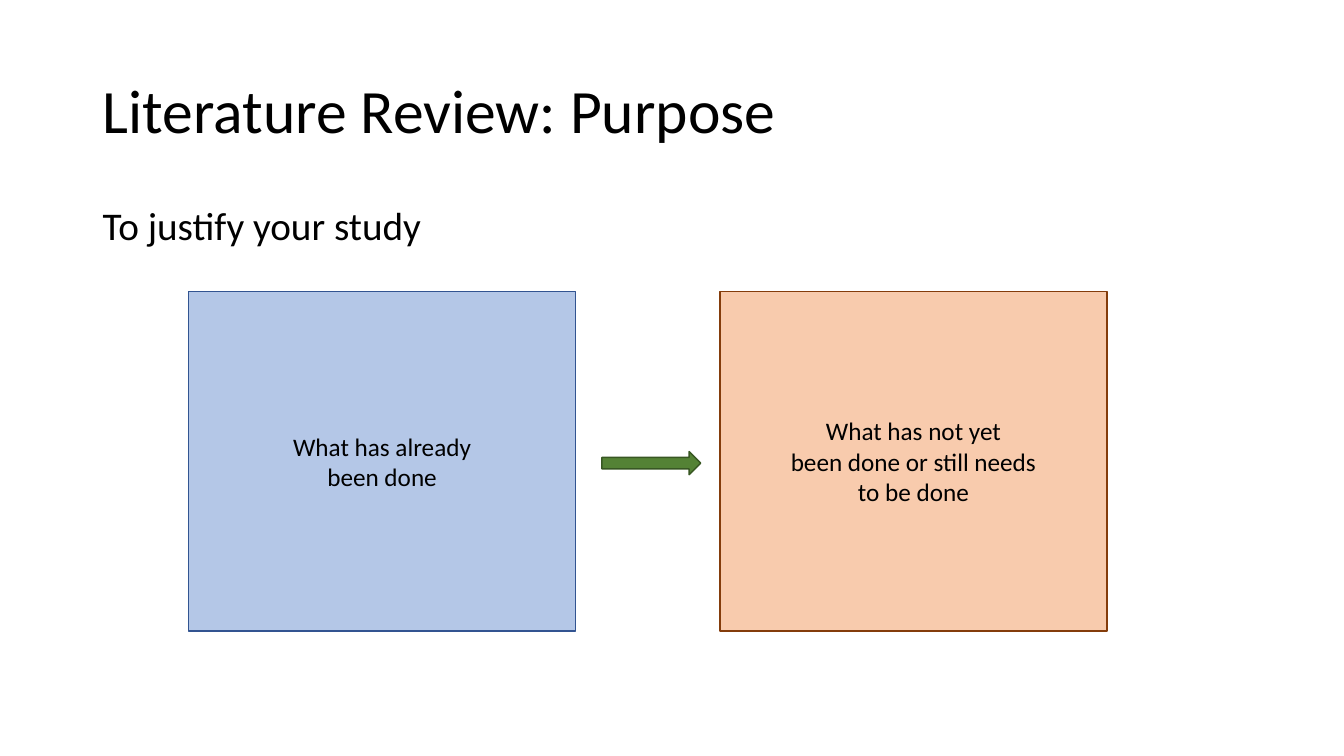
from pptx import Presentation
from pptx import util as u
from pptx.dml.color import RGBColor
from pptx.enum import shapes, text


def color(value):
    return RGBColor.from_string(value)


def write_lines(frame, lines, size, alignment, spacing=1.0):
    frame.word_wrap = True
    for index, line in enumerate(lines):
        paragraph = frame.paragraphs[0] if index == 0 else frame.add_paragraph()
        paragraph.alignment = alignment
        paragraph.line_spacing = spacing
        run = paragraph.add_run()
        run.text = line
        run.font.name = "Calibri"
        run.font.size = u.Pt(size)
        run.font.color.rgb = color("000000")


def add_text(slide, top, height, line, size, anchor):
    box = slide.shapes.add_textbox(
        u.Inches(0.92), u.Inches(top), u.Inches(11.5), u.Inches(height))
    box.text_frame.vertical_anchor = anchor
    write_lines(box.text_frame, [line], size, text.PP_ALIGN.LEFT, 0.9)


def add_filled_shape(slide, kind, left, top, width, height, fill, outline):
    shape = slide.shapes.add_shape(
        kind, u.Inches(left), u.Inches(top), u.Inches(width), u.Inches(height))
    shape.shadow.inherit = False
    shape.fill.solid()
    shape.fill.fore_color.rgb = color(fill)
    shape.line.color.rgb = color(outline)
    shape.line.width = u.Pt(1)
    return shape


def add_panel(slide, left, lines, fill, outline):
    panel = add_filled_shape(
        slide, shapes.MSO_SHAPE.RECTANGLE, left, 2.89, 3.84, 3.37, fill, outline)
    panel.text_frame.vertical_anchor = text.MSO_ANCHOR.MIDDLE
    write_lines(panel.text_frame, lines, 18, text.PP_ALIGN.CENTER)


def main():
    presentation = Presentation()
    presentation.slide_width = u.Inches(13.33)
    presentation.slide_height = u.Inches(7.5)
    slide = presentation.slides.add_slide(presentation.slide_layouts[6])

    add_text(slide, 0.4, 1.45, "Literature Review: Purpose", 44, text.MSO_ANCHOR.MIDDLE)
    add_text(slide, 2, 4.76, "To justify your study", 28, text.MSO_ANCHOR.TOP)
    add_panel(slide, 1.87, ["What has already", "been done"], "B4C7E7", "325491")
    add_panel(slide, 7.14, ["What has not yet", "been done or still needs", "to be done"],
              "F8CBAD", "843C0B")
    add_filled_shape(slide, shapes.MSO_SHAPE.RIGHT_ARROW, 5.97, 4.48, 0.98, 0.23,
                     "548235", "385723")

    presentation.save("out.pptx")


if __name__ == "__main__":
    main()
